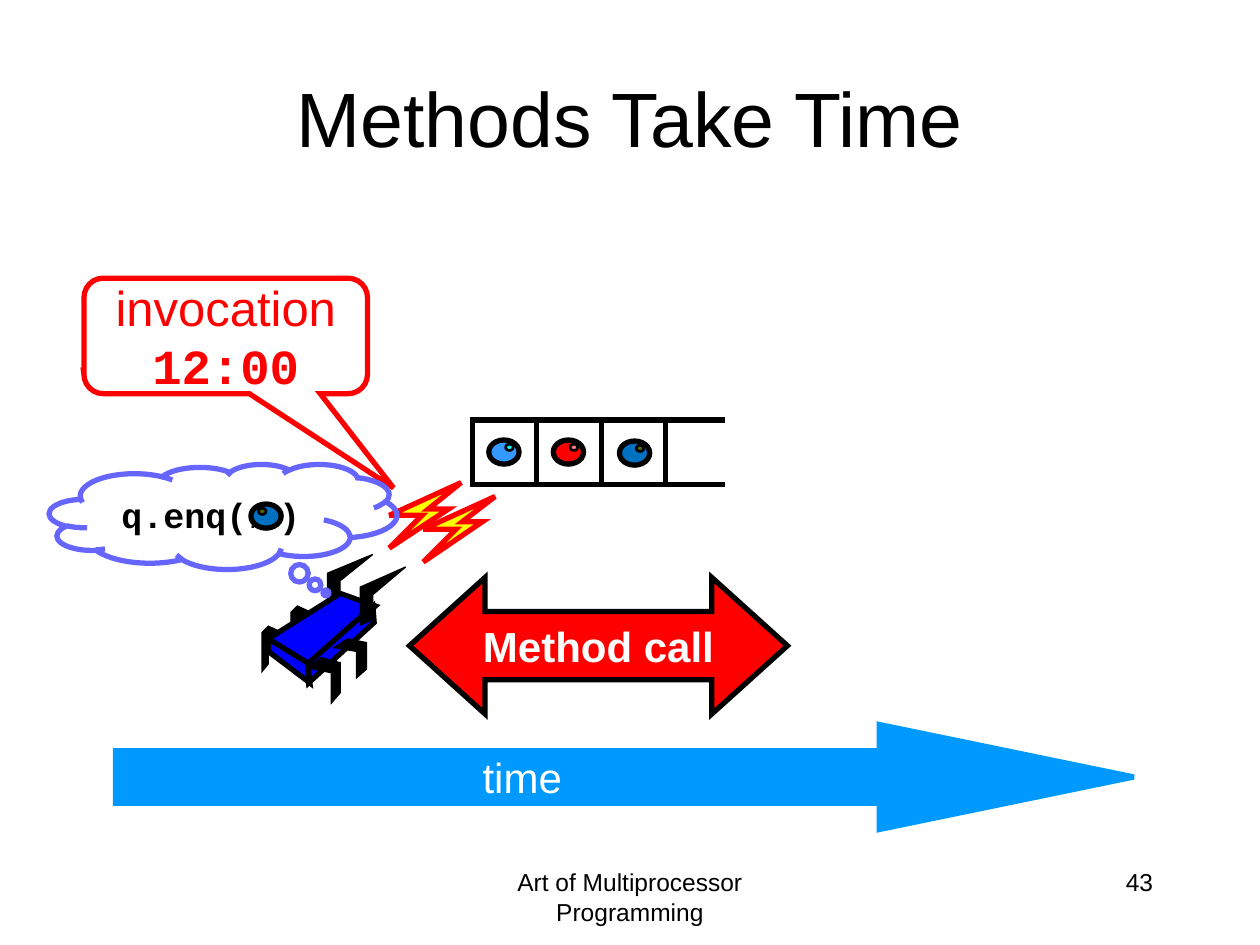
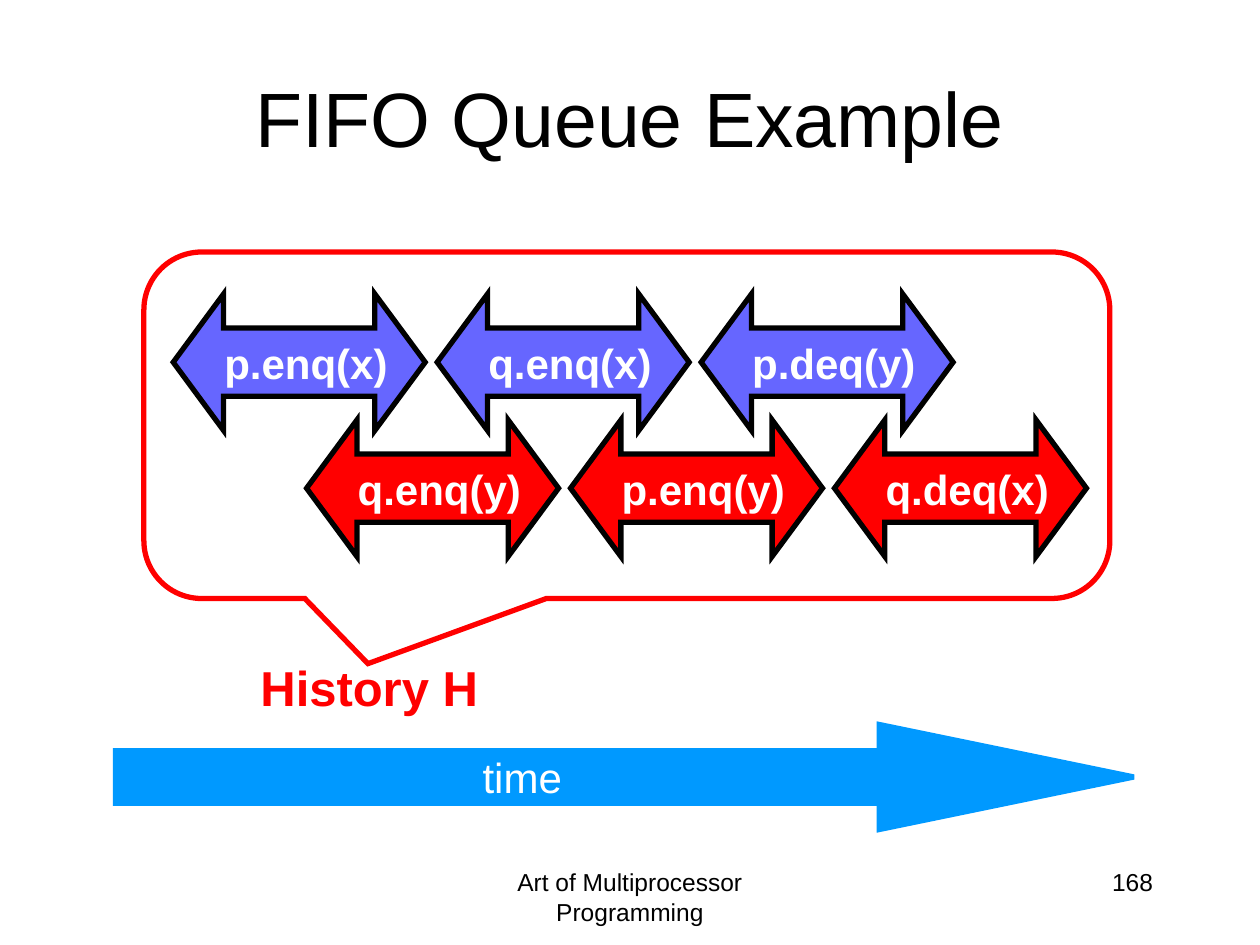
from dataclasses import dataclass
from typing import NamedTuple

from lxml.etree import SubElement
from pptx import Presentation
from pptx.dml.color import RGBColor
from pptx.enum.shapes import MSO_CONNECTOR, MSO_SHAPE as SHAPE
from pptx.enum.text import MSO_ANCHOR as ANCHOR, MSO_AUTO_SIZE as AUTO, PP_ALIGN as ALIGN
from pptx.oxml.ns import qn
from pptx.util import Inches, Pt

PRS_W, PRS_H = Inches(10), Inches(7.5)
COLS, ROWS = 120, 90
SHARE = PRS_W / 1000  # unit of the outlines: a thousandth of the slide's width


@dataclass(frozen=True)
class Theme:
    sans: str = "Arial"
    mono: str = "Courier New"
    black: str = "000000"
    white: str = "FFFFFF"
    red: str = "FF0000"
    yellow: str = "FFFF00"
    violet: str = "6666FF"
    body_blue: str = "0000FF"
    time_blue: str = "0099FF"
    title: int = 44
    callout: int = 28
    label: int = 24
    code: int = 20
    footer: int = 14
    filler: int = 10
    heavy: float = 3
    medium: float = 1.5
    thin: float = 0.75


T = Theme()


class Box(NamedTuple):
    """Left, top, width and height in grid columns and rows."""
    x: float
    y: float
    w: float
    h: float

    def emu(self) -> tuple:
        cw, rh = PRS_W / COLS, PRS_H / ROWS
        return tuple(round(v) for v in (self.x * cw, self.y * rh, self.w * cw, self.h * rh))


class Run(NamedTuple):
    text: str
    size: float
    color: str = T.black
    bold: bool = False
    font: str = T.sans


class Look(NamedTuple):
    fill: str | None
    line: str
    width: float = T.heavy


class Bead(NamedTuple):
    x: float
    y: float
    fill: str
    glint: str
    glint_dx: float = 1.6


class Outline(NamedTuple):
    points: list[tuple[float, float]]
    look: Look
    origins: list[tuple[float, float]] = [(0, 0)]


class Call(NamedTuple):
    text: str
    column: float
    row: float
    color: str


def style(sp, look: Look) -> None:
    sp.shadow.inherit = False
    if look.fill:
        sp.fill.solid()
        sp.fill.fore_color.rgb = RGBColor.from_string(look.fill)
    else:
        sp.fill.background()
    sp.line.color.rgb = RGBColor.from_string(look.line)
    sp.line.width = Pt(look.width)
    SubElement(sp.line._get_or_add_ln(), qn("a:miter"), lim="800000")


def write(sp, runs: list[Run], align=ALIGN.CENTER, anchor=ANCHOR.MIDDLE, wrap=True) -> None:
    tf = sp.text_frame
    tf.word_wrap = wrap
    tf.vertical_anchor = anchor
    p = tf.paragraphs[0]
    p.alignment = align
    for run in runs:
        r = p.add_run()
        r.text = run.text
        r.font.name, r.font.size, r.font.bold = run.font, Pt(run.size), run.bold
        r.font.color.rgb = RGBColor.from_string(run.color)


def add_preset(s, kind, box: Box, look: Look, adj: tuple = ()):
    sp = s.shapes.add_shape(kind, *box.emu())
    for i, value in enumerate(adj):
        sp.adjustments[i] = value
    style(sp, look)
    return sp


def add_text(s, box: Box, run: Run, align=ALIGN.CENTER, anchor=ANCHOR.TOP, wrap=True) -> None:
    sp = s.shapes.add_textbox(*box.emu())
    write(sp, [run], align, anchor, wrap)
    if not wrap:
        sp.text_frame.auto_size = AUTO.SHAPE_TO_FIT_TEXT


def add_outline(s, outline: Outline) -> None:
    for ox, oy in outline.origins:
        first, *rest = [(ox + x, oy + y) for x, y in outline.points]
        builder = s.shapes.build_freeform(*first, scale=SHARE)
        builder.add_line_segments(rest, close=True)
        style(builder.convert_to_shape(), outline.look)


def add_line(s, x1: float, x2: float, y: float) -> None:
    left, top, width, _ = Box(x1, y, x2 - x1, 0).emu()
    cx = s.shapes.add_connector(MSO_CONNECTOR.STRAIGHT, left, top, left + width, top)
    cx.line.color.rgb = RGBColor.from_string(T.black)
    cx.line.width = Pt(T.heavy)
    SubElement(cx._element.spPr, qn("a:effectLst"))


def add_bead(s, bead: Bead) -> None:
    add_preset(s, SHAPE.OVAL, Box(bead.x, bead.y, 2.88, 2.3), Look(bead.fill, T.black))
    add_preset(s, SHAPE.OVAL, Box(bead.x + bead.glint_dx, bead.y + 0.4, 0.72, 0.6),
               Look(bead.glint, T.black, T.medium))


def add_call(s, box: Box, text: str, color: str, head: float, align) -> None:
    """Double arrow that spans the duration of a method call."""
    sp = add_preset(s, SHAPE.LEFT_RIGHT_ARROW, box, Look(color, T.black), (0.5, head))
    write(sp, [Run(text, T.label, T.white, True)], align, wrap=False)


def add_time_arrow(s) -> None:
    add_preset(s, SHAPE.RIGHT_ARROW, Box(11, 69, 97, 10),
               Look(T.time_blue, T.time_blue), (0.5, 2.425))
    add_text(s, Box(44.6, 71, 10.1, 6.1), Run("time", T.label, T.white), ALIGN.RIGHT, wrap=False)


def new_slide(prs, title: str, number: int):
    s = prs.slides.add_slide(prs.slide_layouts[6])
    add_text(s, Box(41, 82, 38, 6), Run("Art of Multiprocessor Programming", T.footer))
    add_text(s, Box(86, 82, 25, 6), Run(str(number), T.footer), ALIGN.RIGHT)
    add_text(s, Box(6, 3.6, 108, 15), Run(title, T.title), anchor=ANCHOR.MIDDLE)
    return s


LIMB = Look(T.black, T.black, T.thin)
BODY = Look(T.body_blue, T.black)
ROBOT = [
    Outline([(0, 46), (10, 41), (10, 21), (36, 0), (0, 15)], LIMB, [(260, 440)]),
    Outline([(16, 5), (5, 0), (0, 5), (0, 36), (5, 30), (5, 10), (16, 15)], LIMB,
            [(208, 497), (231, 481)]),
    Outline([(270, 471), (213, 507), (245, 528), (298, 481)], BODY),
    Outline([(296, 481), (244, 527), (245, 542), (297, 494)], BODY),
    Outline([(213, 507), (213, 517), (246, 542), (244, 526)], BODY),
    Outline([(255, 522), (244, 530), (263, 534), (263, 558), (270, 550), (270, 526)], LIMB),
    Outline([(276, 507), (265, 514), (283, 517), (283, 538), (291, 531), (291, 510)], LIMB),
    Outline([(0, 46), (10, 41), (10, 21), (36, 0), (0, 15)], LIMB, [(286, 450.5)]),
]
BOLTS = Outline([(0, 52), (26, 26), (0, 26), (57, 0), (31, 21), (47, 21)],
                Look(T.yellow, T.red), [(309, 383), (336, 393.5)])

QUEUE_X, QUEUE_Y, CELL, CELLS = 45, 40, 6.13, 3
QUEUE_BEADS = [
    Bead(46.56, 41.9, "3399FF", "00FFFF"),
    Bead(52.7, 41.9, T.red, "FF7C80"),
    Bead(59, 42, "0070C0", "4C6600"),
]
ENQ_BEAD = Bead(23.9, 48, "0070C0", "4C6600", 0.72)


def add_queue(s) -> None:
    for i in range(CELLS):
        add_preset(s, SHAPE.RECTANGLE, Box(QUEUE_X + i * CELL, QUEUE_Y, CELL, CELL),
                   Look(None, T.black))
    for y in (QUEUE_Y, QUEUE_Y + CELL):
        add_line(s, 62.9, 69, y)
    for bead in QUEUE_BEADS:
        add_bead(s, bead)


def build_methods(prs) -> None:
    s = new_slide(prs, "Methods Take Time", 43)
    add_queue(s)
    add_call(s, Box(39, 55, 36, 13), "Method call", T.red, 0.554, ALIGN.CENTER)
    sp = add_preset(s, SHAPE.ROUNDED_RECTANGULAR_CALLOUT, Box(8, 26.5, 27, 11),
                    Look(None, T.red), (0.592, 1.316, 0.167))
    write(sp, [Run("invocation ", T.callout, T.red),
               Run("12:00", T.callout, T.red, True, T.mono)])
    for outline in [BOLTS, *ROBOT]:
        add_outline(s, outline)
    add_bead(s, ENQ_BEAD)
    add_time_arrow(s)
    sp = add_preset(s, SHAPE.CLOUD_CALLOUT, Box(4.7, 44.2, 33.1, 10),
                    Look(None, T.violet), (0.296, 0.727))
    write(sp, [Run(text, size, T.black, True, T.mono) for text, size in
               (("q.enq(", T.code), ("...", T.filler), (")", T.code))])


CALL_STEP = 25.14
CALL_ROWS = [
    (16.5, 28, T.violet, ("p.enq(x)", "q.enq(x)", "p.deq(y)")),
    (29.2, 40, T.red, ("q.enq(y)", "p.enq(y)", "q.deq(x)")),
]
CALLS = [Call(text, left + i * CALL_STEP, row, color)
         for left, row, color, texts in CALL_ROWS for i, text in enumerate(texts)]


def build_fifo(prs) -> None:
    s = new_slide(prs, "FIFO Queue Example", 168)
    for call in CALLS:
        add_call(s, Box(call.column, call.row, 24, 13), call.text, call.color, 0.369, ALIGN.RIGHT)
    add_preset(s, SHAPE.ROUNDED_RECTANGULAR_CALLOUT, Box(13.7, 24, 92, 33),
               Look(None, T.red), (-0.268, 0.688, 0.167))
    add_text(s, Box(23.3, 62, 23.4, 6.8), Run("History H", T.callout, T.red, True),
             ALIGN.RIGHT, wrap=False)
    add_time_arrow(s)


def main() -> None:
    prs = Presentation()
    prs.slide_width, prs.slide_height = PRS_W, PRS_H
    build_methods(prs)
    build_fifo(prs)
    prs.save("out.pptx")


if __name__ == "__main__":
    main()
